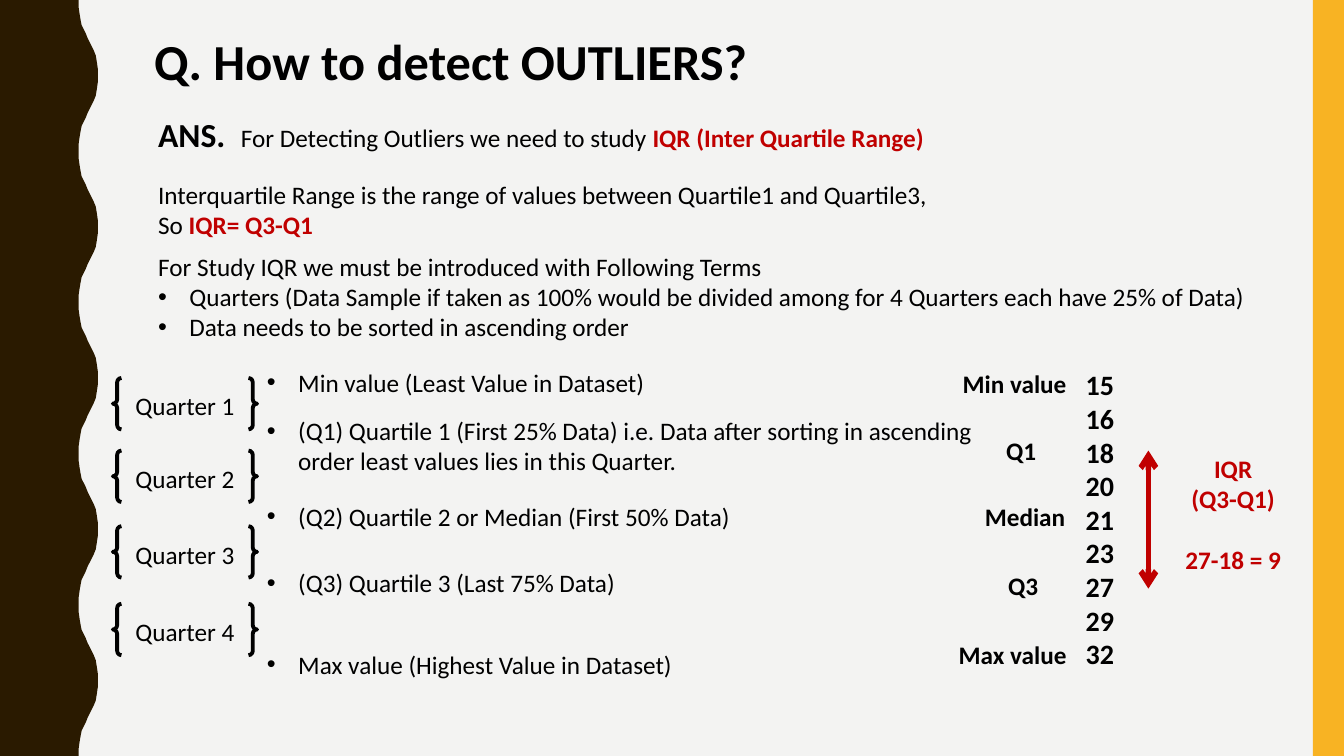
from lxml import etree
from pptx import Presentation
from pptx.dml.color import RGBColor
from pptx.enum.shapes import MSO_CONNECTOR, MSO_SHAPE
from pptx.enum.text import MSO_ANCHOR, MSO_AUTO_SIZE, PP_ALIGN
from pptx.oxml.ns import qn
from pptx.util import Pt

PX = 9144
WIDE, HIGH = 1333, 750
RECT, BRACE = MSO_SHAPE.RECTANGLE, MSO_SHAPE.DOUBLE_BRACE
LINE = MSO_CONNECTOR.STRAIGHT
LEFT, CENTER = PP_ALIGN.LEFT, PP_ALIGN.CENTER
MIDDLE = MSO_ANCHOR.MIDDLE
GROW = MSO_AUTO_SIZE.SHAPE_TO_FIT_TEXT
COLORS = {"paper": "F3F3F2", "brown": "2A1A00", "gold": "F8B323",
          "ink": "000000", "red": "C00000"}


class Page:
    def __init__(self, slide, font):
        self.slide = slide
        self.shapes = slide.shapes
        self.font = font
        fill = slide.background.fill
        fill.solid()
        fill.fore_color.rgb = self.color("paper")

    def color(self, name):
        return RGBColor.from_string(COLORS[name])

    def style(self, font, size, color, bold):
        font.name = self.font
        font.size = Pt(size)
        font.bold = bold
        font.color.rgb = self.color(color)

    def paint(self, shape, color):
        shape.shadow.inherit = False
        shape.fill.solid()
        shape.fill.fore_color.rgb = self.color(color)
        shape.line.fill.background()

    def band(self, x, y, w, h, color):
        self.paint(self.shapes.add_shape(RECT, x * PX, y * PX, w * PX, h * PX), color)

    def wave(self, points, color):
        form = self.shapes.build_freeform(0, 0, scale=PX)
        form.add_line_segments(points, close=True)
        self.paint(form.convert_to_shape(), color)

    def put(self, frame, lines, size=18, color="ink", bold=False, align=LEFT):
        for i, line in enumerate(lines):
            para = frame.paragraphs[0] if i == 0 else frame.add_paragraph()
            para.alignment = align
            self.style(para.font, size, color, bold)
            if isinstance(line, str):
                para.add_run().text = line
                continue
            for words, *look in line:
                run = para.add_run()
                run.text = words
                if look:
                    self.style(run.font, *look)
        return frame.paragraphs

    def text(self, x, y, w, h, lines, wrap=True, **look):
        box = self.shapes.add_textbox(x * PX, y * PX, w * PX, h * PX)
        frame = box.text_frame
        frame.word_wrap = wrap
        frame.auto_size = GROW
        return self.put(frame, lines, **look)

    def bullet(self, para):
        props = para._p.get_or_add_pPr()
        props.set("marL", str(31 * PX))
        props.set("indent", str(-31 * PX))
        font = etree.Element(qn("a:buFont"), typeface="Arial")
        mark = etree.Element(qn("a:buChar"), char="•")
        props.insert_element_before(font, "a:tabLst", "a:defRPr")
        props.insert_element_before(mark, "a:tabLst", "a:defRPr")

    def tab(self, para, x):
        stops = etree.Element(qn("a:tabLst"))
        etree.SubElement(stops, qn("a:tab"), pos=str(x * PX), algn="l")
        para._p.get_or_add_pPr().insert_element_before(stops, "a:defRPr")

    def brace(self, x, y, w, h, label):
        shape = self.shapes.add_shape(BRACE, x * PX, y * PX, w * PX, h * PX)
        shape.shadow.inherit = False
        shape.fill.background()
        shape.line.color.rgb = self.color("ink")
        shape.line.width = Pt(2.75)
        shape.text_frame.vertical_anchor = MIDDLE
        self.put(shape.text_frame, [label], align=CENTER)

    def arrow(self, x, top, end, color):
        line = self.shapes.add_connector(LINE, x * PX, top * PX, x * PX, end * PX)
        line.line.color.rgb = self.color(color)
        line.line.width = Pt(4)
        props = line._element.spPr
        stroke = props.find(qn("a:ln"))
        for tip in ("a:headEnd", "a:tailEnd"):
            etree.SubElement(stroke, qn(tip), type="arrow")
        etree.SubElement(props, qn("a:effectLst"))


def edge():
    xs = (78, 78, 79, 80, 81, 83, 85, 87, 89, 91, 93, 95, 96, 97, 97)
    ys = (0, 7, 14, 20, 25, 29, 33, 38, 42, 46, 50, 55, 61, 68, 75)
    half = list(zip(xs, ys))
    points = []
    for top in range(0, HIGH, 150):
        points += [(x, top + y) for x, y in half]
        points += [(x, top + 150 - y) for x, y in half[-2::-1]]
    return points + [(0, HIGH)]


def main():
    deck = Presentation()
    deck.slide_width, deck.slide_height = WIDE * PX, HIGH * PX
    page = Page(deck.slides.add_slide(deck.slide_layouts[6]), "Calibri")

    page.wave(edge(), "brown")
    page.band(1302, 0, 31, HIGH, "gold")

    page.text(143, 25, 1166, 71, ["Q. How to detect OUTLIERS?"], size=36, bold=True)
    answer = page.text(147, 108, 1039, 50, [[
        ("ANS.\t", 24, "ink", True),
        ("For Detecting Outliers we need to study ",),
        ("IQR (Inter Quartile Range)", 18, "red", True)]])
    page.tab(answer[0], 82)
    page.text(147, 173, 1039, 131, [
        "Interquartile Range is the range of values between Quartile1 and Quartile3,",
        [("So",), (" IQR= Q3-Q1", 18, "red", True)]])
    terms = page.text(147, 244, 1141, 162, [
        "For Study IQR we must be introduced with Following Terms",
        "Quarters (Data Sample if taken as 100% would be divided among for 4 Quarters each have 25% of Data)",
        "Data needs to be sorted in ascending order"])
    for para in terms[1:]:
        page.bullet(para)

    points = [
        (359, 40, "Min value (Least Value in Dataset)"),
        (407, 71, "(Q1) Quartile 1 (First 25% Data) i.e. Data after sorting in ascending "
                  "order least values lies in this Quarter."),
        (492, 40, "(Q2) Quartile 2 or Median (First 50% Data)"),
        (558, 40, "(Q3) Quartile 3 (Last 75% Data)"),
        (639, 40, "Max value (Highest Value in Dataset)")]
    for y, h, words in points:
        page.bullet(page.text(255, y, 734, h, [words])[0])

    for i, y in enumerate((375, 447, 522, 599), 1):
        page.brace(112, y, 143, 51, f"Quarter {i}")

    data = (15, 16, 18, 20, 21, 23, 27, 29, 32)
    page.text(1067, 360, 90, 343, [str(n) for n in data], size=20, bold=True)
    marks = [
        (945, 360, 140, "Min value"),
        (988, 427, 56, "Q1"),
        (967, 492, 106, "Median"),
        (990, 561, 56, "Q3"),
        (941, 629, 145, "Max value")]
    for x, y, w, name in marks:
        page.text(x, y, w, 40, [name], wrap=False, bold=True)

    page.arrow(1139, 447, 584, "red")
    result = page.text(1157, 445, 132, 131, ["IQR", "(Q3-Q1)", "27-18 = 9"],
                       color="red", bold=True, align=CENTER)
    result[2].space_before = Pt(22)

    deck.save("out.pptx")


if __name__ == "__main__":
    main()
